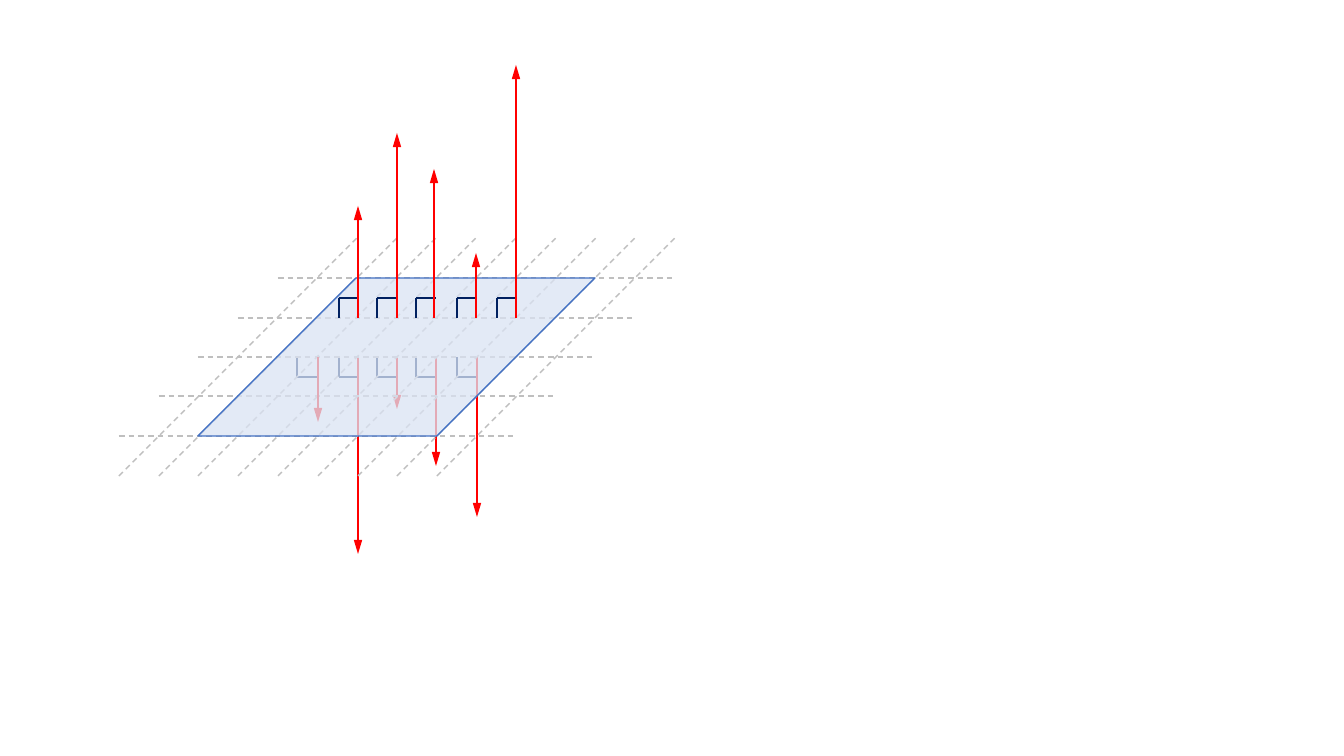
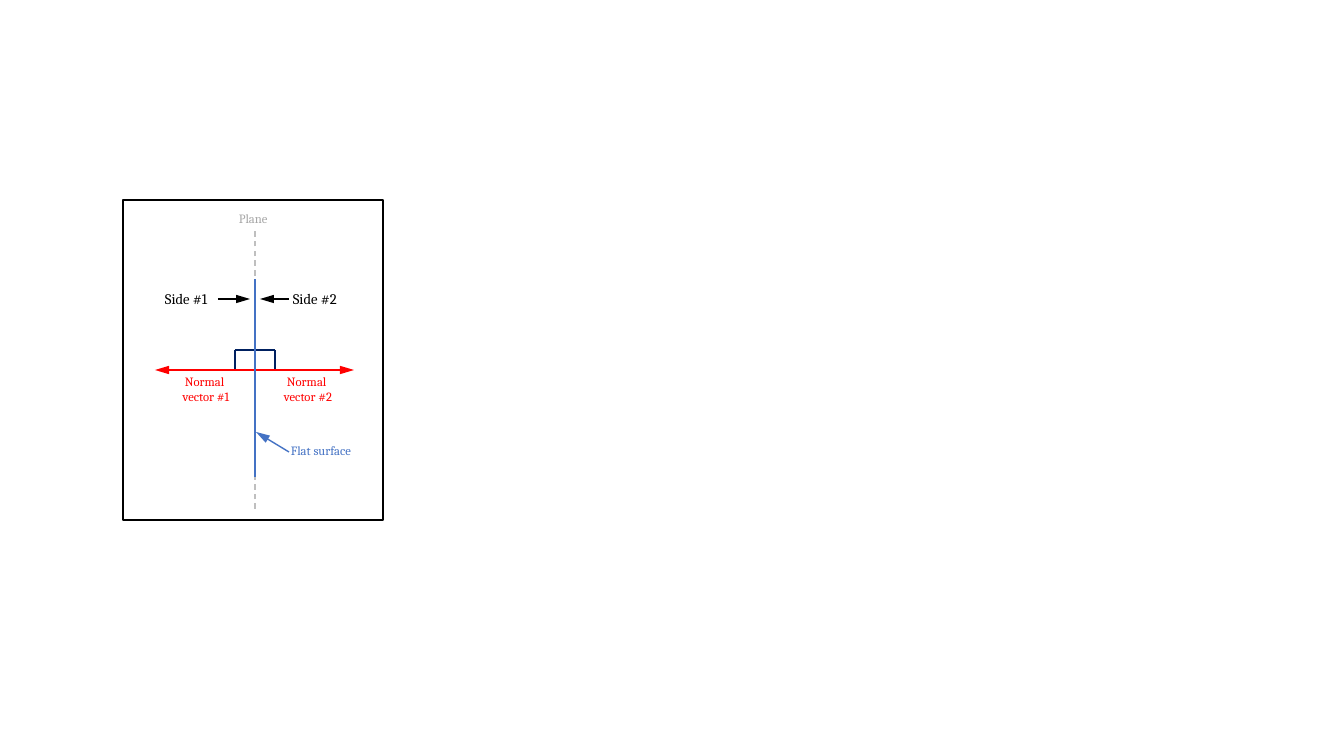
"""Two slides on the normal vectors of a flat surface."""
from lxml.etree import SubElement
from pptx import Presentation
from pptx.dml.color import RGBColor
from pptx.enum.dml import MSO_LINE
from pptx.enum.shapes import MSO_CONNECTOR, MSO_SHAPE
from pptx.enum.text import MSO_AUTO_SIZE, PP_ALIGN
from pptx.oxml.ns import qn
from pptx.util import Emu, Pt

SCALE = 914400 / 100.8
NAVY = RGBColor(0x00, 0x20, 0x60)
RED = RGBColor(0xFF, 0x00, 0x00)
BLUE = RGBColor(0x44, 0x72, 0xC4)
PALE_BLUE = RGBColor(0xDA, 0xE3, 0xF3)
GRID_GREY = RGBColor(0xBF, 0xBF, 0xBF)
LABEL_GREY = RGBColor(0xA6, 0xA6, 0xA6)
BLACK = RGBColor(0x00, 0x00, 0x00)

CORNER = 20
CORNER_LEFTS = (297, 339, 377, 416, 457, 497)
LOWER_FOOT, UPPER_FOOT = 357, 318
FIRST_LOWER_TIP = (318, 422)
LOWER_TIPS = ((477, 517), (436, 466), (397, 409), (358, 554))
UPPER_TIPS = ((358, 206), (397, 133), (434, 169), (476, 253), (516, 65))


def px(*lengths):
    """Turn pixels into EMU."""
    return [Emu(round(length * SCALE)) for length in lengths]


def spread(first, last, count):
    """Return evenly spaced whole pixels from first to last."""
    return [round(first + (last - first) * step / (count - 1)) for step in range(count)]


def set_line(line, color, width, dash=None):
    """Format an outline."""
    line.color.rgb = color
    for name, value in {"width": Pt(width), "dash_style": dash}.items():
        setattr(line, name, value)


def add_line(page, start, end, color, width=1, dash=None, arrow=False):
    """Draw a straight line, with an arrowhead at its end if asked."""
    connector = page.shapes.add_connector(MSO_CONNECTOR.STRAIGHT, *px(*start, *end))
    set_line(connector.line, color, width, dash)
    if arrow:
        outline = connector.line._get_or_add_ln()
        SubElement(outline, qn("a:tailEnd"), type="triangle", w="med", len="lg")
    SubElement(connector._element.spPr, qn("a:effectLst"))


def add_grid_line(page, start, end):
    """Draw a dashed line of the plane."""
    add_line(page, start, end, GRID_GREY, dash=MSO_LINE.DASH)


def add_vector(page, foot, tip):
    """Draw a normal vector."""
    add_line(page, foot, tip, RED, 2, arrow=True)


def add_right_angle(page, foot, corner):
    """Draw the two sides of a right angle mark that meet at the corner."""
    add_line(page, corner, (foot[0], corner[1]), NAVY)
    add_line(page, corner, (corner[0], foot[1]), NAVY)


def add_outline(page, kind, bounds, color, fill=None, opacity=100):
    """Draw an outlined shape with an optional see-through fill."""
    shape = page.shapes.add_shape(kind, *px(*bounds))
    shape.shadow.inherit = False
    set_line(shape.line, color, 1)
    if fill is None:
        shape.fill.background()
    else:
        shape.fill.solid()
        shape.fill.fore_color.rgb = fill
        tone = shape.fill._xPr.find(".//" + qn("a:srgbClr"))
        SubElement(tone, qn("a:alpha"), val=str(opacity * 1000))
    return shape


def add_label(page, bounds, lines, color, size=9, align=PP_ALIGN.LEFT):
    """Write a label whose lines are split by breaks."""
    box = page.shapes.add_textbox(*px(*bounds))
    frame = box.text_frame
    for name, value in {"word_wrap": False, "auto_size": MSO_AUTO_SIZE.SHAPE_TO_FIT_TEXT}.items():
        setattr(frame, name, value)
    para = frame.paragraphs[0]
    para.alignment = align
    for index, line in enumerate(lines):
        if index:
            para.add_line_break()
        span = para.add_run()
        span.text = line
        for name, value in {"name": "Cambria", "size": Pt(size)}.items():
            setattr(span.font, name, value)
        span.font.color.rgb = color


def draw_surface_normals(page):
    """Draw the tilted surface with normals on both sides."""
    for left in CORNER_LEFTS[:-1]:
        add_right_angle(page, (left + CORNER, LOWER_FOOT), (left, LOWER_FOOT + CORNER))
    for tip in LOWER_TIPS:
        add_vector(page, (tip[0], LOWER_FOOT), tip)
    for left, level in zip(spread(119, 278, 5), spread(436, 278, 5)):
        add_grid_line(page, (left, level), (left + 397, level))
    first, *middle, last = spread(119, 437, 9)
    for left in middle:
        add_grid_line(page, (left, 476), (left + 238, 238))
    add_vector(page, (FIRST_LOWER_TIP[0], LOWER_FOOT), FIRST_LOWER_TIP)
    surface = add_outline(page, MSO_SHAPE.PARALLELOGRAM, (198, 278, 397, 158), BLUE, PALE_BLUE, 75)
    surface.adjustments[0] = 1
    for left in (first, last):
        add_grid_line(page, (left, 476), (left + 238, 238))
    for left in CORNER_LEFTS[1:]:
        add_right_angle(page, (left + CORNER, UPPER_FOOT), (left, UPPER_FOOT - CORNER))
    for tip in UPPER_TIPS:
        add_vector(page, (tip[0], UPPER_FOOT), tip)


def draw_edge_view(page):
    """Draw the surface seen edge-on with its two sides named."""
    axis, foot = 255, 370
    for side in (-1, 1):
        add_right_angle(page, (axis, foot), (axis + side * CORNER, foot - CORNER))
    add_grid_line(page, (axis, 509), (axis, 231))
    for tip in (354, 155):
        add_vector(page, (axis, foot), (tip, foot))
    add_line(page, (axis, 477), (axis, 279), BLUE, 2)
    add_label(page, (155, 285, 71, 29), ["Side #1"], BLACK, 10.5)
    add_label(page, (283, 285, 71, 28), ["Side #2"], BLACK, 10.5)
    for start, end in ((289, 260), (218, 250)):
        add_line(page, (start, 299), (end, 299), BLACK, arrow=True)
    add_label(page, (229, 206, 52, 25), ["Plane"], LABEL_GREY)
    add_label(page, (281, 438, 86, 25), ["Flat surface"], BLUE)
    add_line(page, (289, 452), (256, 432), BLUE, arrow=True)
    for number, left, width in ((2, 271, 74), (1, 170, 72)):
        lines = ["Normal ", f"vector #{number}"]
        add_label(page, (left, 369, width, 40), lines, RED, align=PP_ALIGN.CENTER)
    add_outline(page, MSO_SHAPE.RECTANGLE, (123, 200, 260, 320), BLACK)


def main():
    """Build and save the deck."""
    deck = Presentation()
    deck.slide_width, deck.slide_height = px(1344, 756)
    for draw in (draw_surface_normals, draw_edge_view):
        draw(deck.slides.add_slide(deck.slide_layouts[6]))
    deck.save("out.pptx")


main()
